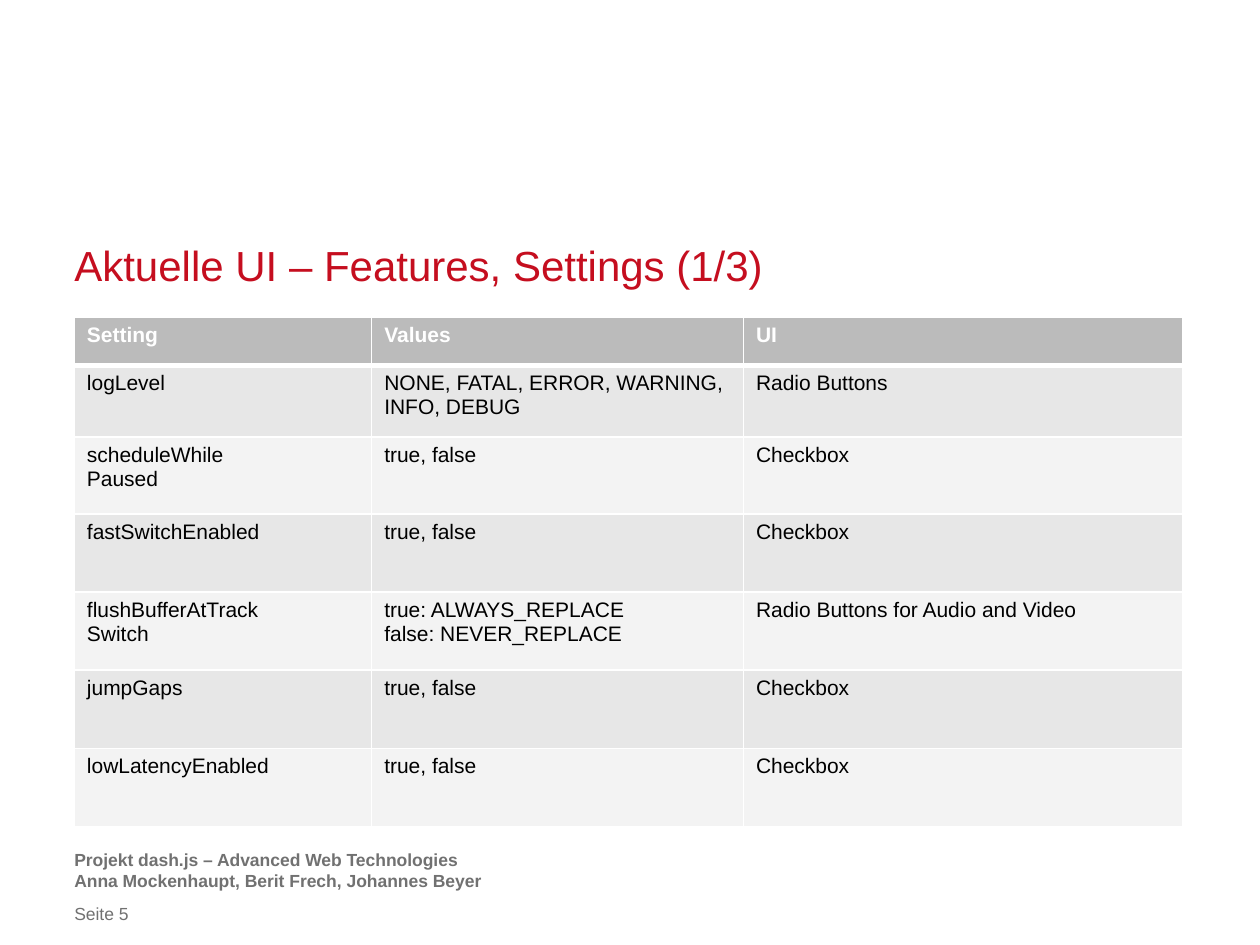
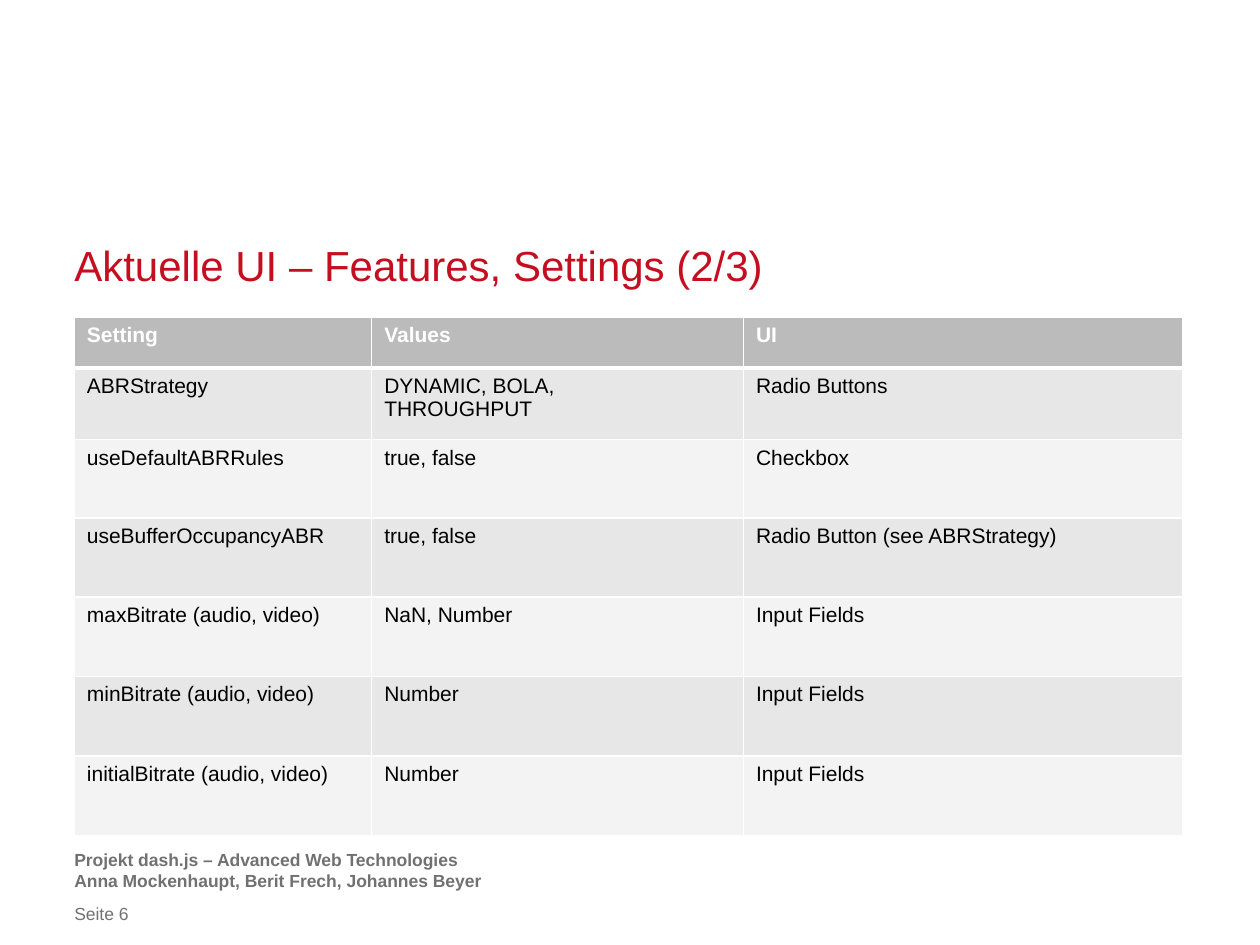
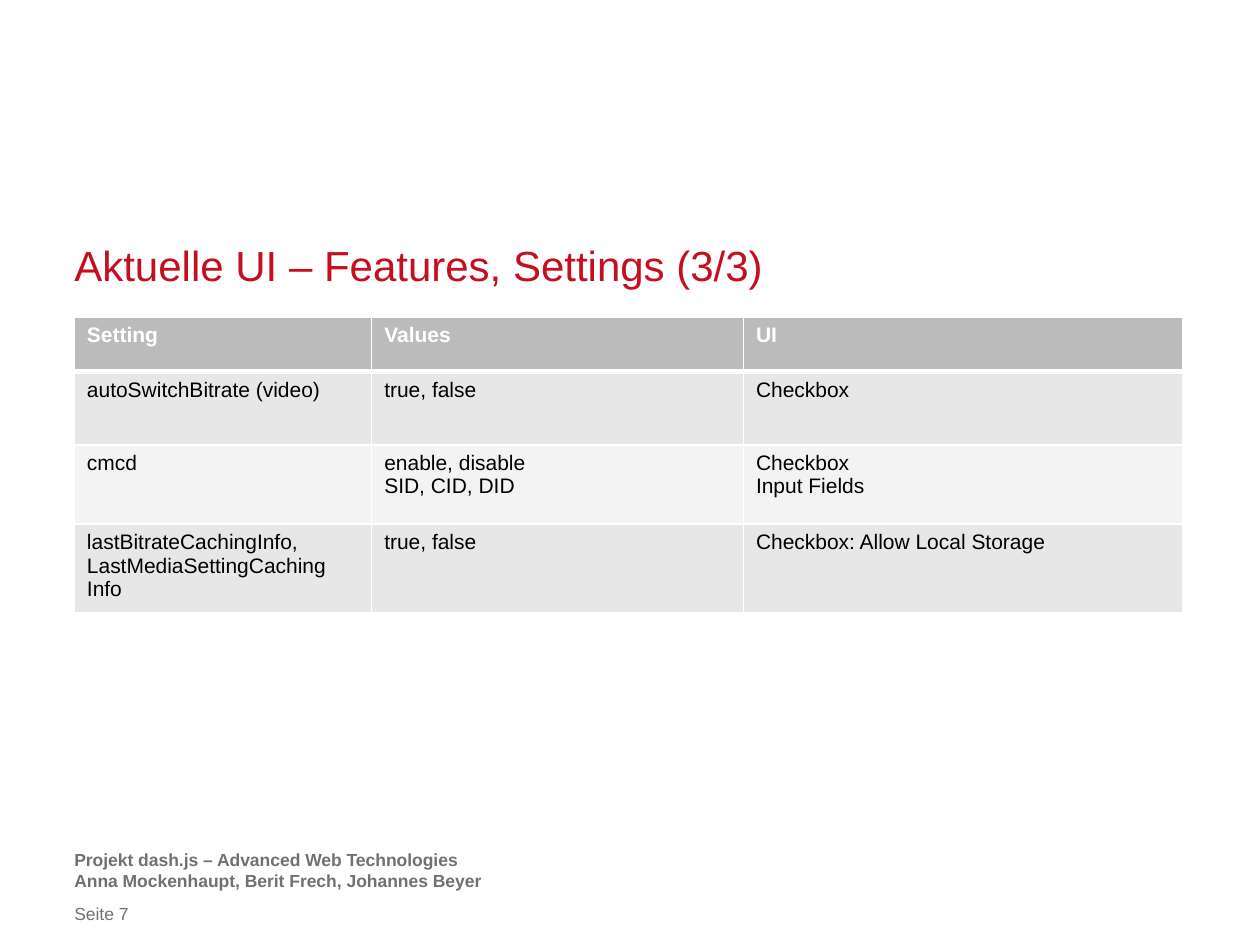
from dataclasses import dataclass

from lxml.etree import SubElement
from pptx import Presentation
from pptx.dml.color import RGBColor
from pptx.enum.text import MSO_ANCHOR, MSO_AUTO_SIZE, PP_ALIGN
from pptx.oxml.ns import qn
from pptx.util import Inches, Pt

FONT = "Arial"
RED = "C50E1F"
GREY = "717171"
WHITE = "FFFFFF"
BLACK = "000000"
HEADER_FILL = "BBBBBB"
BAND_FILLS = ("E7E7E7", "F3F3F3")

LEFT = Inches(0.59)
CONTENT_WIDTH = Inches(8.82)
FOOTER_WIDTH = Inches(7.24)
COLUMN_WIDTHS = (2.36, 2.95, 3.49)
HEADINGS = ("Setting", "Values", "UI")
FOOTER = "Projekt dash.js – Advanced Web Technologies\nAnna Mockenhaupt, Berit Frech, Johannes Beyer"
FIRST_PAGE = 5


@dataclass(frozen=True)
class Setting:
    name: str
    values: str
    control: str


@dataclass(frozen=True)
class SettingsPage:
    row_heights: tuple[float, ...]
    settings: tuple[Setting, ...]


PAGES = (
    SettingsPage(
        (0.38, 0.57, 0.61, 0.62, 0.62, 0.62, 0.62),
        (
            Setting("logLevel", "NONE, FATAL, ERROR, WARNING, INFO, DEBUG", "Radio Buttons"),
            Setting("scheduleWhile\nPaused", "true, false", "Checkbox"),
            Setting("fastSwitchEnabled", "true, false", "Checkbox"),
            Setting(
                "flushBufferAtTrack\nSwitch",
                "true: ALWAYS_REPLACE\nfalse: NEVER_REPLACE",
                "Radio Buttons for Audio and Video",
            ),
            Setting("jumpGaps", "true, false", "Checkbox"),
            Setting("lowLatencyEnabled", "true, false", "Checkbox"),
        ),
    ),
    SettingsPage(
        (0.4, 0.57, 0.62, 0.63, 0.63, 0.63, 0.63),
        (
            Setting("ABRStrategy", "DYNAMIC, BOLA,\nTHROUGHPUT", "Radio Buttons"),
            Setting("useDefaultABRRules", "true, false", "Checkbox"),
            Setting("useBufferOccupancyABR", "true, false", "Radio Button (see ABRStrategy)"),
            Setting("maxBitrate (audio, video)", "NaN, Number", "Input Fields"),
            Setting("minBitrate (audio, video)", "Number", "Input Fields"),
            Setting("initialBitrate (audio, video)", "Number", "Input Fields"),
        ),
    ),
    SettingsPage(
        (0.43, 0.58, 0.63, 0.64),
        (
            Setting("autoSwitchBitrate (video)", "true, false", "Checkbox"),
            Setting("cmcd", "enable, disable\nSID, CID, DID", "Checkbox\nInput Fields"),
            Setting(
                "lastBitrateCachingInfo,\nLastMediaSettingCaching\nInfo",
                "true, false",
                "Checkbox: Allow Local Storage",
            ),
        ),
    ),
)


def color(value: str) -> RGBColor:
    return RGBColor.from_string(value)


def write(frame, text: str, size: float, text_color: str, bold: bool = False, spacing: float | None = None) -> None:
    frame.text = text
    for paragraph in frame.paragraphs:
        paragraph.alignment = PP_ALIGN.LEFT
        if spacing:
            paragraph.line_spacing = Pt(spacing)
        for span in paragraph.runs:
            span.font.name = FONT
            span.font.size = Pt(size)
            span.font.bold = bold
            span.font.color.rgb = color(text_color)


def remove_insets(frame) -> None:
    frame.margin_left = frame.margin_top = frame.margin_right = frame.margin_bottom = 0
    frame.word_wrap = True


def add_title(page, text: str) -> None:
    title = page.shapes.title
    title.left, title.top = LEFT, Inches(1.88)
    title.width, title.height = CONTENT_WIDTH, Inches(0.42)
    frame = title.text_frame
    remove_insets(frame)
    frame.vertical_anchor = MSO_ANCHOR.BOTTOM
    frame.auto_size = MSO_AUTO_SIZE.SHAPE_TO_FIT_TEXT
    write(frame, text, 24, RED, spacing=30)


def add_footer_line(page, text: str, top: float, height: float, bold: bool) -> None:
    box = page.shapes.add_textbox(LEFT, Inches(top), FOOTER_WIDTH, Inches(height))
    remove_insets(box.text_frame)
    write(box.text_frame, text, 10, GREY, bold, spacing=12)


def set_border(cell, side: str, width: float) -> None:
    properties = cell._tc.get_or_add_tcPr()
    line = SubElement(properties, qn(f"a:ln{side}"), w=str(Pt(width)))
    fill = SubElement(line, qn("a:solidFill"))
    SubElement(fill, qn("a:srgbClr"), val=WHITE)


def add_settings_table(page, content: SettingsPage) -> None:
    rows = [HEADINGS] + [(item.name, item.values, item.control) for item in content.settings]
    height = Inches(sum(content.row_heights))
    table = page.shapes.add_table(
        len(rows), len(HEADINGS), LEFT, Inches(2.52), CONTENT_WIDTH, height
    ).table
    table.first_row = table.horz_banding = False
    for column, width in zip(table.columns, COLUMN_WIDTHS):
        column.width = Inches(width)
    for row, row_height in zip(table.rows, content.row_heights):
        row.height = Inches(row_height)
    for row_index, texts in enumerate(rows):
        is_header = row_index == 0
        borders = {"L": 1, "R": 1, "T": 3 if row_index == 1 else 1, "B": 3 if is_header else 1}
        for column_index, text in enumerate(texts):
            cell = table.cell(row_index, column_index)
            for side, width in borders.items():
                set_border(cell, side, width)
            cell.fill.solid()
            cell.fill.fore_color.rgb = color(HEADER_FILL if is_header else BAND_FILLS[(row_index - 1) % 2])
            write(cell.text_frame, text, 12, WHITE if is_header else BLACK, is_header)


def main() -> None:
    deck = Presentation()
    deck.slide_width, deck.slide_height = Inches(10), Inches(7.5)
    title_only = deck.slide_layouts[5]
    for number, content in enumerate(PAGES):
        page = deck.slides.add_slide(title_only)
        add_footer_line(page, FOOTER, 6.74, 0.39, True)
        add_footer_line(page, f"Seite {FIRST_PAGE + number}", 7.17, 0.17, False)
        add_title(page, f"Aktuelle UI – Features, Settings ({number + 1}/{len(PAGES)})")
        add_settings_table(page, content)
    deck.save("out.pptx")


if __name__ == "__main__":
    main()
